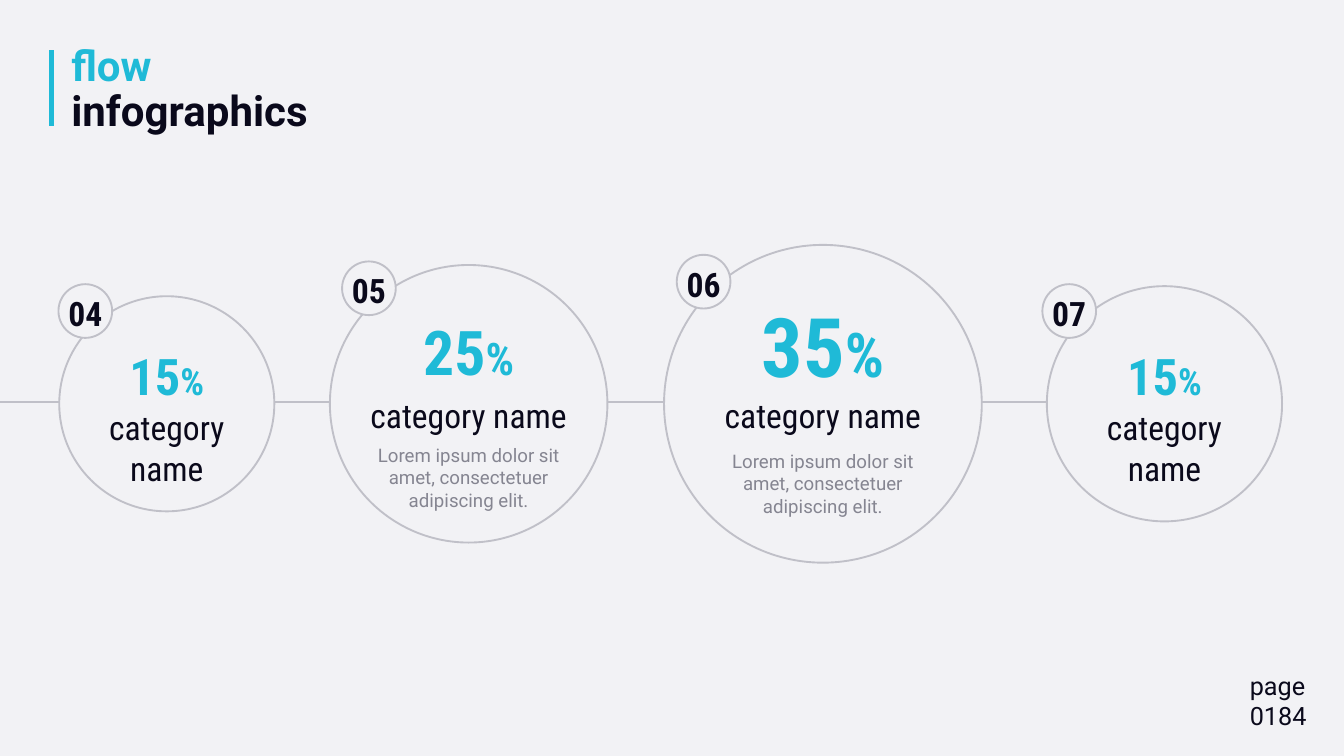
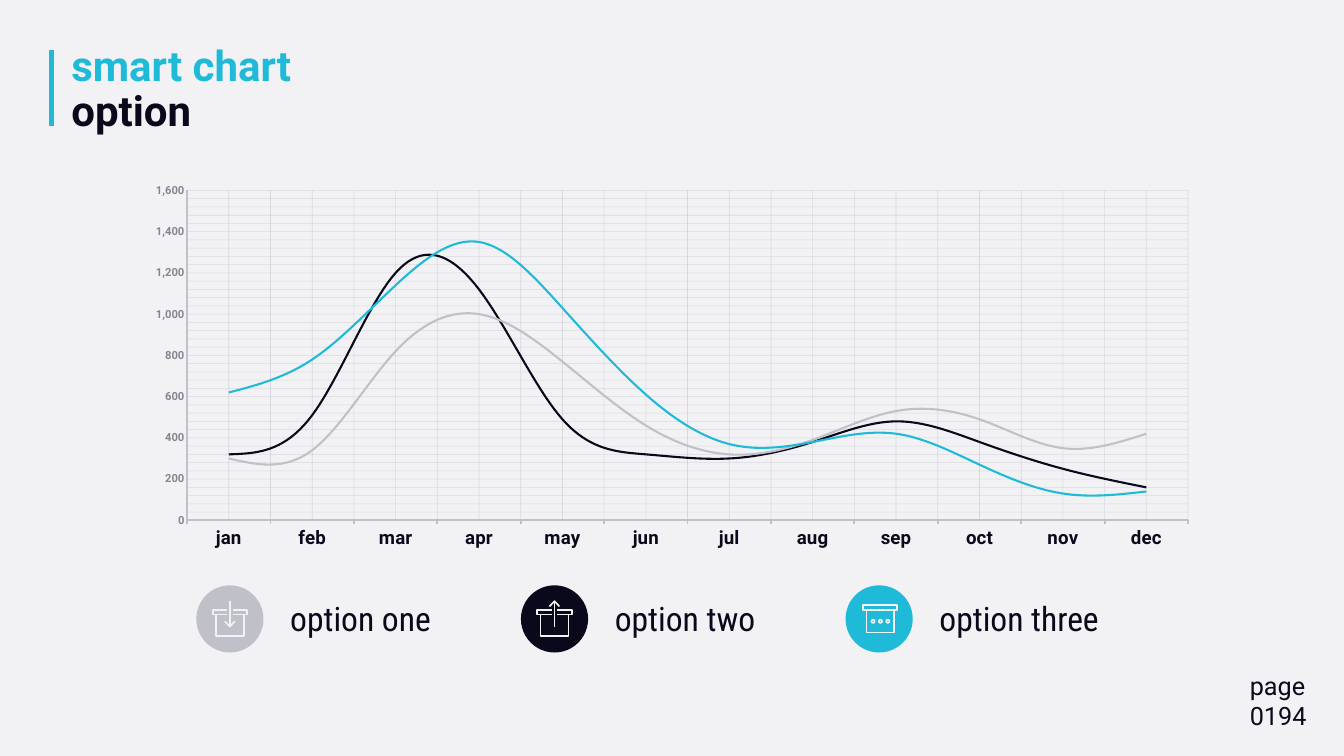
"""Build a circle-flow slide and a smooth line chart slide with a shared title style."""
from copy import deepcopy
from dataclasses import dataclass
from math import cos, pi, sin

from lxml import etree
from pptx import Presentation
from pptx.chart.data import CategoryChartData
from pptx.dml.color import RGBColor
from pptx.enum.chart import XL_CHART_TYPE, XL_TICK_MARK
from pptx.enum.shapes import MSO_CONNECTOR, MSO_SHAPE
from pptx.enum.text import MSO_ANCHOR, MSO_AUTO_SIZE, PP_ALIGN
from pptx.oxml.ns import qn
from pptx.util import Cm, Pt


@dataclass(frozen=True)
class Theme:
    paper: RGBColor = RGBColor.from_string("F2F2F5")
    ink: RGBColor = RGBColor.from_string("0A091B")
    accent: RGBColor = RGBColor.from_string("1FBAD7")
    grey: RGBColor = RGBColor.from_string("C0C0C8")
    muted: RGBColor = RGBColor.from_string("858591")
    sans: str = "Roboto"
    condensed: str = "Roboto Condensed"
    title: int = 45
    label: int = 36
    page: int = 27
    note: int = 20
    scale: int = 12


theme = Theme()


def write(shape, *paragraphs, font=theme.sans, align=PP_ALIGN.LEFT, spacing=None,
          fit=MSO_AUTO_SIZE.SHAPE_TO_FIT_TEXT):
    """Fill a shape with paragraphs of (text, size, colour, bold) runs; None breaks the line."""
    frame = shape.text_frame
    frame_format = {"word_wrap": True, "auto_size": fit, "vertical_anchor": MSO_ANCHOR.TOP}
    for name, value in frame_format.items():
        setattr(frame, name, value)
    for index, runs in enumerate(paragraphs):
        paragraph = frame.add_paragraph() if index else frame.paragraphs[0]
        paragraph.alignment = align
        paragraph.line_spacing = spacing
        for part in runs:
            if part is None:
                paragraph.add_line_break()
                continue
            text, size, color, bold = part
            run = paragraph.add_run()
            run.text = text
            for name, value in {"name": font, "size": Pt(size), "bold": bold}.items():
                setattr(run.font, name, value)
            run.font.color.rgb = color


def add_line(shapes, x1, y1, x2, y2, color, width):
    """Draw a straight line without shadow between two points in centimetres."""
    line = shapes.add_connector(MSO_CONNECTOR.STRAIGHT, Cm(x1), Cm(y1), Cm(x2), Cm(y2))
    line.line.color.rgb = color
    line.line.width = Pt(width)
    etree.SubElement(line.element.spPr, qn("a:effectLst"))
    return line


prs = Presentation()
prs.slide_width, prs.slide_height = Cm(50.8), Cm(28.57)
prs.slide_master.background.fill.solid()
prs.slide_master.background.fill.fore_color.rgb = theme.paper
title_only = prs.slide_layouts[5]

pages = [("flow", "infographics", "0184"), ("smart chart", "option", "0194")]
for heading, subject, number in pages:
    slide = prs.slides.add_slide(title_only)
    title = slide.shapes.title
    title.left, title.top, title.width, title.height = map(Cm, (2.44, 1.57, 15.14, 3.71))
    write(title, [(heading, theme.title, theme.accent, True), None,
                  (subject, theme.title, theme.ink, True)], spacing=0.9)
    write(slide.shapes.add_textbox(*map(Cm, (46.99, 25.2, 3.81, 2.64))),
          [("page", theme.page, theme.ink, False)],
          [(number, theme.page, theme.ink, False)], fit=MSO_AUTO_SIZE.NONE)

flow, trends = prs.slides
title_bar = add_line(flow.shapes, 1.95, 1.9, 1.95, 4.78, theme.accent, 5)
title_bar.element.nvCxnSpPr.cNvPr.id = 20
title_only.shapes.element.append(title_bar.element)

lorem = "Lorem ipsum dolor sit amet, consectetuer adipiscing elit."
center_y, link_y, badge_size = 15.26, 15.19, 2.03
narrow_name, wide_name = (15.27, 7.19, 3.33), (14.81, 8.92, 1.8)
steps = [
    ("04", "15", 2.24, 8.13, (2.21, 10.74), (12.93, 2.57, 54, 40), narrow_name, None),
    ("05", "25", 12.47, 10.49, (12.93, 9.88), (11.73, 3.07, 66, 48), wide_name, 16.64),
    ("06", "35", 25.1, 12.01, (25.58, 9.63), (11.02, 4.01, 88, 66), wide_name, 16.87),
    ("07", "15", 39.57, 8.89, (39.4, 10.74), (12.93, 2.57, 54, 40), narrow_name, None),
]
link_start = 0
for number, share, left, size, badge, share_place, name_place, note_top in steps:
    add_line(flow.shapes, link_start, link_y, left, link_y, theme.grey, 2)
    link_start = left + size
    middle = left + size / 2
    step = flow.shapes.add_group_shape().shapes
    for x, y, diameter in ((left, center_y - size / 2, size), (*badge, badge_size)):
        ring = step.add_shape(MSO_SHAPE.OVAL, Cm(x), Cm(y), Cm(diameter), Cm(diameter))
        ring.shadow.inherit = False
        ring.line.color.rgb = theme.grey
        ring.line.width = Pt(2)
        if diameter == badge_size:
            ring.fill.solid()
            ring.fill.fore_color.rgb = theme.paper
        else:
            ring.fill.background()
    share_top, share_height, digit_size, sign_size = share_place
    name_top, name_width, name_height = name_place
    texts = [
        (badge[0] + badge_size / 2, badge[1] + 0.2, 2.39, 1.8, theme.condensed,
         [(number, theme.label, theme.ink, True)]),
        (middle, share_top, 5.84, share_height, theme.condensed,
         [(share, digit_size, theme.accent, True), ("%", sign_size, theme.accent, True)]),
        (middle, name_top, name_width, name_height, theme.condensed,
         [("category name", theme.label, theme.ink, False)]),
    ]
    if note_top:
        texts.append((middle, note_top, 8.92, 2.82, theme.sans,
                      [(lorem, theme.note, theme.muted, False)]))
    for x, y, width, height, font, runs in texts:
        box = step.add_textbox(Cm(x - width / 2), Cm(y), Cm(width), Cm(height))
        write(box, runs, font=font, align=PP_ALIGN.CENTER)

months = CategoryChartData(number_format="#,##0")
months.categories = "jan feb mar apr may jun jul aug sep oct nov dec".split()
series_values = [
    (320, 510, 1200, 1120, 490, 320, 300, 380, 480, 380, 250, 160),
    (300, 340, 820, 1000, 770, 460, 320, 390, 530, 490, 350, 420),
    (620, 780, 1140, 1350, 1030, 610, 370, 380, 420, 270, 130, 140),
]
for index, values in enumerate(series_values, 1):
    months.add_series(f"Series {index}", values)
chart = trends.shapes.add_chart(
    XL_CHART_TYPE.LINE, *map(Cm, (5.08, 6.65, 40.64, 14.4)), months).chart
chart.has_legend = chart.has_title = False
chart.font.name, chart.font.size = theme.sans, Pt(10)
chart.font.color.rgb = theme.ink
chart.plots[0].vary_by_categories = False
for series, color in zip(chart.plots[0].series, (theme.ink, theme.grey, theme.accent)):
    series.smooth = True
    series.format.line.color.rgb = color
    series.format.line.width = Pt(2.25)

axis_formats = [
    (chart.category_axis, theme.note, theme.ink,
     {"major_tick_mark": XL_TICK_MARK.OUTSIDE}),
    (chart.value_axis, theme.scale, theme.muted,
     {"major_tick_mark": XL_TICK_MARK.NONE, "minimum_scale": 0, "maximum_scale": 1600,
      "major_unit": 200, "minor_unit": 40}),
]
for axis, size, color, axis_format in axis_formats:
    shared_format = {"has_major_gridlines": True, "has_minor_gridlines": True,
                     "minor_tick_mark": XL_TICK_MARK.NONE}
    for name, value in {**shared_format, **axis_format}.items():
        setattr(axis, name, value)
    for line, width in ((axis.format.line, 2), (axis.major_gridlines.format.line, 0.75)):
        line.color.rgb = theme.grey
        line.width = Pt(width)
    font = axis.tick_labels.font
    for name, value in {"name": theme.sans, "size": Pt(size), "bold": True}.items():
        setattr(font, name, value)
    font.color.rgb = color
chart.value_axis.tick_labels.number_format = "#,##0"
chart.value_axis.tick_labels.number_format_is_linked = False

for major in chart.element.iter(qn("c:majorGridlines")):
    for grid_color in major.iter(qn("a:srgbClr")):
        etree.SubElement(grid_color, qn("a:alpha"), val="50000")
    major.getnext().append(deepcopy(major[0]))

plot_area = next(chart.element.iter(qn("c:plotArea")))
for automatic in plot_area.findall(qn("c:layout")):
    plot_area.remove(automatic)
plot_layout = etree.Element(qn("c:layout"))
plot_area.insert(0, plot_layout)
manual = etree.SubElement(plot_layout, qn("c:manualLayout"))
for tag, value in {"layoutTarget": "inner", "xMode": "edge", "yMode": "edge",
                   "x": 0.049, "y": 0.038, "w": 0.931, "h": 0.866}.items():
    etree.SubElement(manual, qn(f"c:{tag}"), val=str(value))

open_box = [
    [(1.16, 0.93), (0.62, 0.93), (0.62, 1.1), (1.16, 1.1)],
    [(1.38, 0.93), (1.92, 0.93), (1.92, 1.1), (1.38, 1.1)],
    [(0.74, 1.1), (0.74, 1.92), (1.8, 1.92), (1.8, 1.1)],
    [(1.27, 0.6), (1.27, 1.56)],
]
arrow_in = [(1.08, 1.36), (1.27, 1.56), (1.46, 1.36)]
arrow_out = [(1.08, 0.8), (1.27, 0.6), (1.46, 0.8)]
closed_box = [
    [(0.67, 0.74), (1.95, 0.74), (1.95, 0.93), (0.67, 0.93), (0.67, 0.74)],
    [(0.79, 0.93), (0.79, 1.79), (1.82, 1.79), (1.82, 0.93)],
]
dots = [[(x + 0.06 * cos(turn * pi / 6), 1.36 + 0.06 * sin(turn * pi / 6))
         for turn in range(13)] for x in (1.04, 1.32, 1.6)]
options = [
    ("option one", theme.grey, [*open_box, arrow_in]),
    ("option two", theme.ink, [*open_box, arrow_out]),
    ("option three", theme.accent, [*closed_box, *dots]),
]
option_top = 22.12
for index, (name, color, strokes) in enumerate(options):
    left = 7.42 + 12.27 * index
    option = trends.shapes.add_group_shape().shapes
    disc = option.add_shape(MSO_SHAPE.OVAL, Cm(left), Cm(option_top), Cm(2.54), Cm(2.54))
    disc.fill.solid()
    disc.fill.fore_color.rgb = color
    disc.line.fill.background()
    placed = [[(Cm(left + x), Cm(option_top + y)) for x, y in stroke] for stroke in strokes]
    outline = option.build_freeform(*placed[0][0])
    for stroke in placed:
        outline.move_to(*stroke[0])
        outline.add_line_segments(stroke[1:], close=False)
    icon = outline.convert_to_shape()
    icon.fill.background()
    icon.line.color.rgb = theme.paper
    icon.line.width = Pt(1.75)
    disc.shadow.inherit = icon.shadow.inherit = False
    write(option.add_textbox(Cm(left + 3.3), Cm(22.48), Cm(8.13), Cm(1.8)),
          [(name, theme.label, theme.ink, False)], font=theme.condensed)

prs.save("out.pptx")
